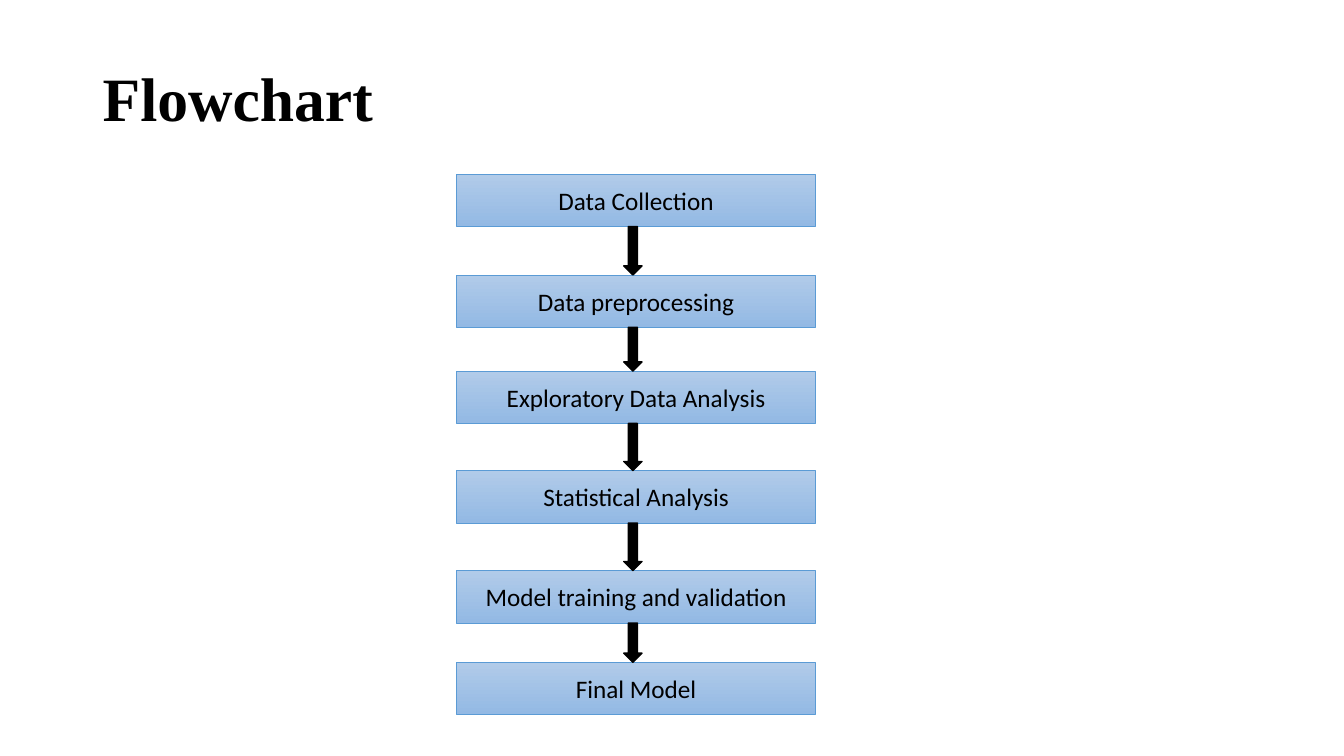
from dataclasses import dataclass
from itertools import pairwise

from pptx import Presentation
from pptx.dml.color import RGBColor
from pptx.enum.shapes import MSO_SHAPE
from pptx.enum.text import MSO_ANCHOR, PP_ALIGN
from pptx.util import Cm, Pt


@dataclass(frozen=True)
class Theme:
    ink: RGBColor = RGBColor.from_string("000000")
    step_top: RGBColor = RGBColor.from_string("B1CBE9")
    step_bottom: RGBColor = RGBColor.from_string("93B9E4")
    step_border: RGBColor = RGBColor.from_string("5B9BD5")
    heading_font: str = "Times New Roman"
    step_font: str = "Calibri"
    heading_size: Pt = Pt(44)
    step_size: Pt = Pt(18)


theme = Theme()


def write(frame, text, font_name, size, bold=False):
    frame.text = text
    frame.word_wrap = True
    frame.vertical_anchor = MSO_ANCHOR.MIDDLE
    font = frame.paragraphs[0].runs[0].font
    font.name = font_name
    font.size = size
    font.bold = bold
    font.color.rgb = theme.ink


presentation = Presentation()
presentation.slide_width = Cm(33.87)
presentation.slide_height = Cm(19.05)
slide = presentation.slides.add_slide(presentation.slide_layouts[6])

heading = slide.shapes.add_textbox(Cm(2.34), Cm(0.71), Cm(29.21), Cm(3.68))
write(heading.text_frame, "Flowchart", theme.heading_font, theme.heading_size, bold=True)
heading.text_frame.paragraphs[0].line_spacing = 0.9

steps = {
    "Data Collection": 4.39,
    "Data preprocessing": 6.93,
    "Exploratory Data Analysis": 9.35,
    "Statistical Analysis": 11.86,
    "Model training and validation": 14.38,
    "Final Model": 16.69,
}
step_height = 1.32

for label, top in steps.items():
    step = slide.shapes.add_shape(
        MSO_SHAPE.RECTANGLE, Cm(11.51), Cm(top), Cm(9.04), Cm(step_height)
    )
    step.shadow.inherit = False
    step.fill.gradient()
    step.fill.gradient_angle = 270
    for stop, color in zip(step.fill.gradient_stops, (theme.step_top, theme.step_bottom)):
        stop.color.rgb = color
    step.line.color.rgb = theme.step_border
    step.line.width = Pt(0.5)
    write(step.text_frame, label, theme.step_font, theme.step_size)
    step.text_frame.paragraphs[0].alignment = PP_ALIGN.CENTER

for top, next_top in pairwise(steps.values()):
    arrow_top = top + step_height
    arrow = slide.shapes.add_shape(
        MSO_SHAPE.DOWN_ARROW, Cm(15.72), Cm(arrow_top), Cm(0.46), Cm(next_top - arrow_top)
    )
    arrow.shadow.inherit = False
    arrow.fill.solid()
    arrow.fill.fore_color.rgb = theme.ink
    arrow.line.color.rgb = theme.ink
    arrow.line.width = Pt(1)

presentation.save("out.pptx")
